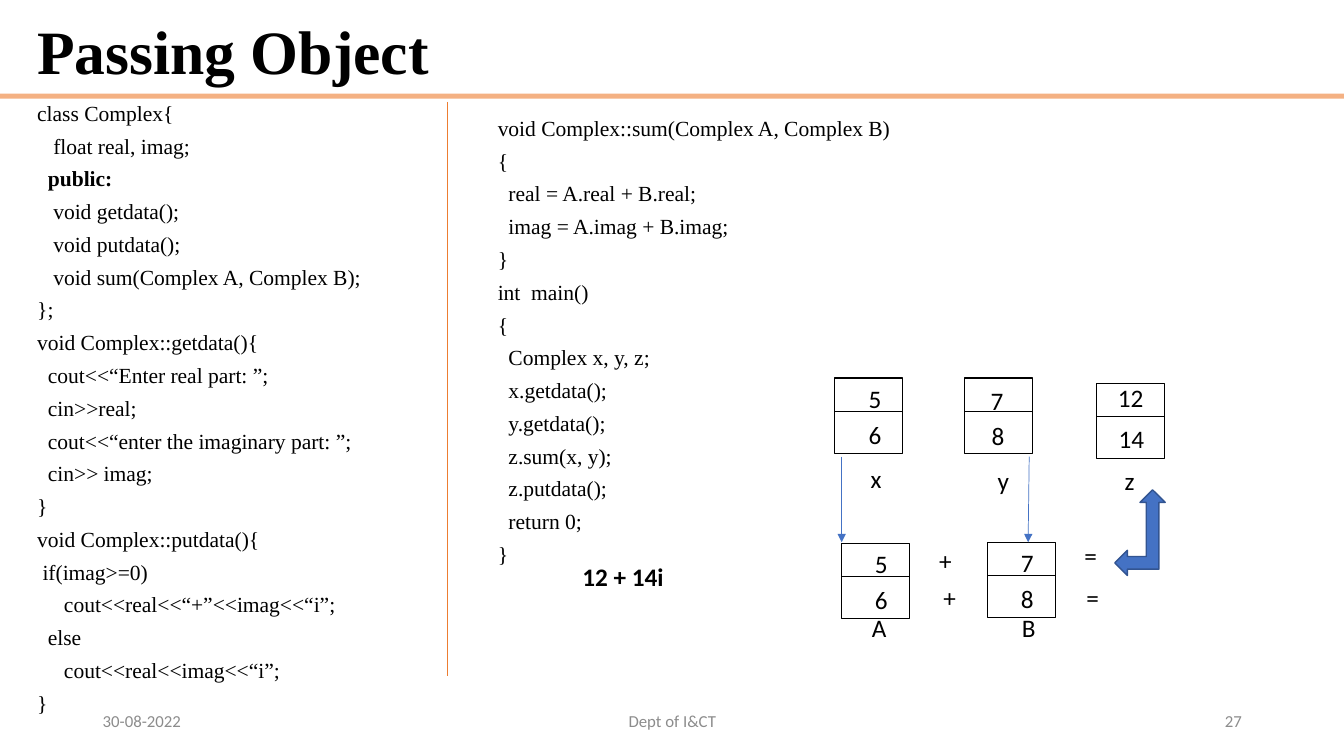
from dataclasses import dataclass

from lxml.etree import SubElement
from pptx import Presentation
from pptx.dml.color import RGBColor
from pptx.enum.shapes import MSO_CONNECTOR, MSO_SHAPE
from pptx.enum.text import MSO_ANCHOR, PP_ALIGN
from pptx.oxml.ns import qn
from pptx.util import Inches, Pt


@dataclass(frozen=True)
class Theme:
    serif: str = "Times New Roman"
    sans: str = "Calibri"
    ink: str = "000000"
    muted: str = "8C8C8C"
    bar: str = "F4B183"
    divider: str = "ED7D31"
    accent: str = "4472C4"
    accent_edge: str = "325491"
    title_size: float = 44
    code_size: float = 15.4
    label_size: float = 18
    footer_size: float = 12


THEME = Theme()
WIDTH, HEIGHT = Inches(13.333), Inches(7.5)
COLUMN, ROW = WIDTH / 100, HEIGHT / 100
REGISTER_COLUMNS, REGISTER_ROWS, UPPER_ROWS = 5.02, 10, 4.4

CLASS_CODE = """class Complex{
   float real, imag;
  public:
   void getdata();
   void putdata();
   void sum(Complex A, Complex B);
};
void Complex::getdata(){
  cout<<“Enter real part: ”;
  cin>>real;
  cout<<“enter the imaginary part: ”;
  cin>> imag;
}
void Complex::putdata(){
 if(imag>=0)
     cout<<real<<“+”<<imag<<“i”;
  else
     cout<<real<<imag<<“i”;
}"""

MAIN_CODE = """void Complex::sum(Complex A, Complex B)
{
  real = A.real + B.real;
  imag = A.imag + B.imag;
}
int  main()
{
  Complex x, y, z;
  x.getdata();
  y.getdata();
  z.sum(x, y);
  z.putdata();
  return 0;
}"""

REGISTERS = [(62.1, 50), (71.78, 50), (81.6, 50.67), (62.63, 71.87), (73.5, 71.73)]

LABELS = [
    ("5", 63.9, 50), ("6", 63.9, 54.8), ("x", 64.05, 60.67),
    ("7", 72.98, 50.27), ("8", 73.05, 54.93), ("y", 73.5, 60.93),
    ("12", 82.43, 49.87), ("14", 82.5, 55.33), ("z", 82.95, 60.93),
    ("5", 64.35, 71.87), ("6", 64.35, 76.67), ("A", 64.13, 80.4),
    ("7", 75.23, 71.73), ("8", 75.23, 76.53), ("B", 75.3, 80.4),
    ("+", 69.15, 71.47), ("+", 69.45, 76.4),
    ("=", 79.95, 70.8), ("=", 80.1, 76.4),
]

FOOTERS = [
    ("30-08-2022", 6.9, 22.5, PP_ALIGN.LEFT),
    ("Dept of I&CT", 33.15, 33.75, PP_ALIGN.CENTER),
    ("27", 70.65, 22.5, PP_ALIGN.RIGHT),
]


def across(columns):
    return round(columns * COLUMN)


def down(rows):
    return round(rows * ROW)


def area(left, top, width, height):
    return across(left), down(top), across(width), down(height)


def add_text(page, text, place, *, size, face=THEME.sans, color=THEME.ink, bold=False,
             align=PP_ALIGN.LEFT, anchor=MSO_ANCHOR.TOP, wrap=True,
             spacing=None, before=0, bold_line=None):
    frame = page.shapes.add_textbox(*area(*place)).text_frame
    frame.word_wrap = wrap
    frame.vertical_anchor = anchor
    for index, line in enumerate(text.split("\n")):
        para = frame.paragraphs[0] if index == 0 else frame.add_paragraph()
        para.alignment = align
        if spacing:
            para.line_spacing = spacing
        if index and before:
            para.space_before = Pt(before)
        span = para.add_run()
        span.text = line
        span.font.name = face
        span.font.size = Pt(size)
        span.font.bold = bold or (bold_line is not None and line.strip() == bold_line)
        span.font.color.rgb = RGBColor.from_string(color)


def add_code(page, text, place, **format):
    add_text(page, text, place, size=THEME.code_size, face=THEME.serif,
             spacing=0.7, before=10.5, **format)


def add_label(page, text, left, top, width=2.48, **format):
    add_text(page, text, (left, top, width, 5.39), size=THEME.label_size,
             wrap=False, **format)


def add_block(page, preset, place, fill, edge=None):
    block = page.shapes.add_shape(preset, *area(*place))
    block.shadow.inherit = False
    block.fill.solid()
    block.fill.fore_color.rgb = RGBColor.from_string(fill)
    if edge:
        block.line.color.rgb = RGBColor.from_string(edge)
        block.line.width = Pt(1)
    else:
        block.line.fill.background()


def add_register(page, left, top):
    right, bottom, middle = left + REGISTER_COLUMNS, top + REGISTER_ROWS, top + UPPER_ROWS
    builder = page.shapes.build_freeform(across(left), down(top))
    corners = [(right, top), (right, bottom), (left, bottom)]
    builder.add_line_segments([(across(x), down(y)) for x, y in corners], close=True)
    builder.move_to(across(left), down(middle))
    builder.add_line_segments([(across(right), down(middle))], close=False)
    register = builder.convert_to_shape()
    register.shadow.inherit = False
    register.fill.background()
    register.line.color.rgb = RGBColor.from_string(THEME.ink)
    register.line.width = Pt(0.75)


def add_line(page, start, end, color, arrow=False):
    line = page.shapes.add_connector(
        MSO_CONNECTOR.STRAIGHT, across(start[0]), down(start[1]), across(end[0]), down(end[1]))
    line.line.color.rgb = RGBColor.from_string(color)
    line.line.width = Pt(0.5)
    if arrow:
        SubElement(line.line._get_or_add_ln(), qn("a:tailEnd"), type="triangle")
    SubElement(line._element.spPr, qn("a:effectLst"))


def main():
    deck = Presentation()
    deck.slide_width, deck.slide_height = WIDTH, HEIGHT
    page = deck.slides.add_slide(deck.slide_layouts[6])

    add_block(page, MSO_SHAPE.RECTANGLE, (0, 12.4, 100, 0.67), THEME.bar)
    add_text(page, "Passing Object", (2.03, 2, 91.13, 10.53), size=THEME.title_size,
             face=THEME.serif, bold=True, anchor=MSO_ANCHOR.MIDDLE, spacing=0.9)
    add_code(page, CLASS_CODE, (2.03, 13.47, 42.53, 81.47), bold_line="public:")
    add_code(page, MAIN_CODE, (36.3, 15.47, 34.35, 77.2))
    for text, left, width, align in FOOTERS:
        add_text(page, text, (left, 92.67, width, 5.33), size=THEME.footer_size,
                 color=THEME.muted, align=align, anchor=MSO_ANCHOR.MIDDLE)
    add_line(page, (33.3, 13.47), (33.3, 89.47), THEME.divider)

    for left, top in REGISTERS:
        add_register(page, left, top)
    for text, left, top in LABELS:
        add_label(page, text, left, top, width=2.48 if len(text) == 1 else 3.45)
    add_line(page, (62.63, 60.4), (62.63, 71.73), THEME.accent, arrow=True)
    add_line(page, (76.58, 60.4), (76.5, 71.73), THEME.accent, arrow=True)
    add_block(page, MSO_SHAPE.LEFT_UP_ARROW, (82.95, 64.8, 3.75, 11.33),
              THEME.accent, THEME.accent_edge)
    add_label(page, "12 + 14i", 42.6, 73.6, width=7.58, bold=True)
    deck.save("out.pptx")


if __name__ == "__main__":
    main()
